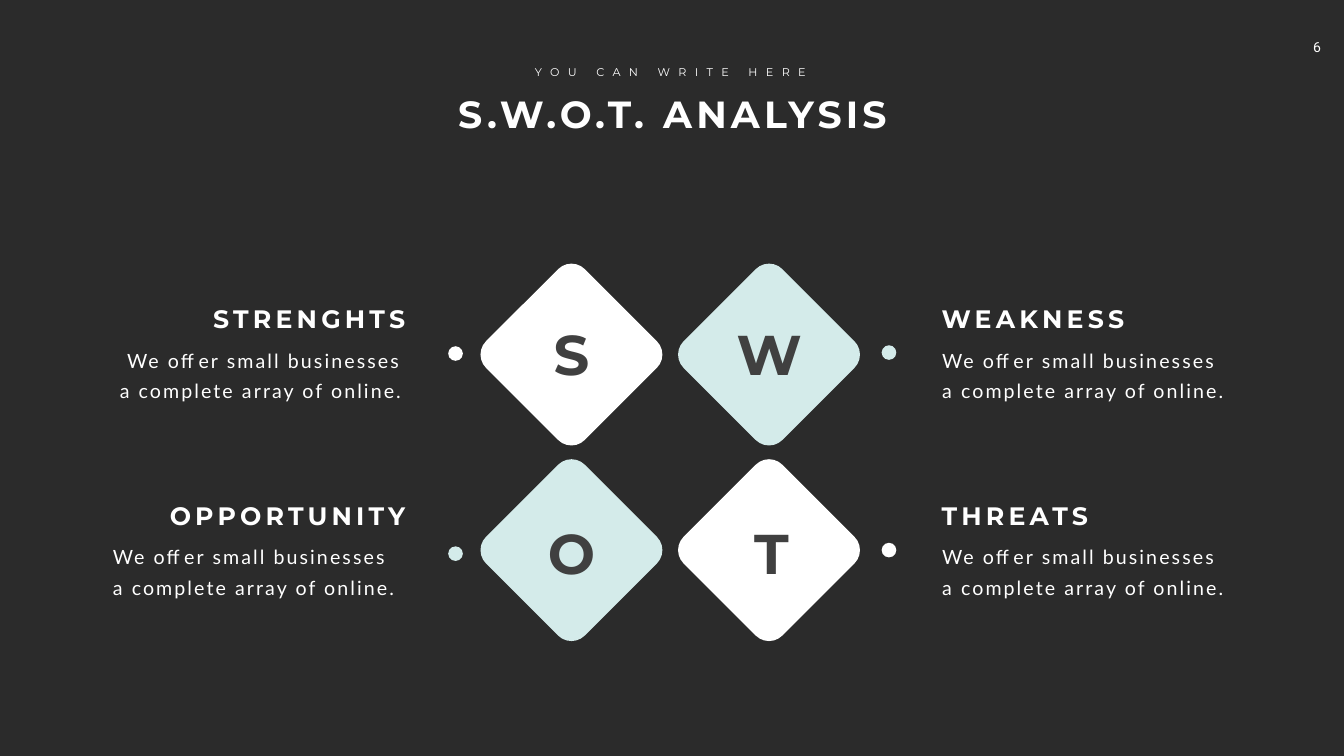
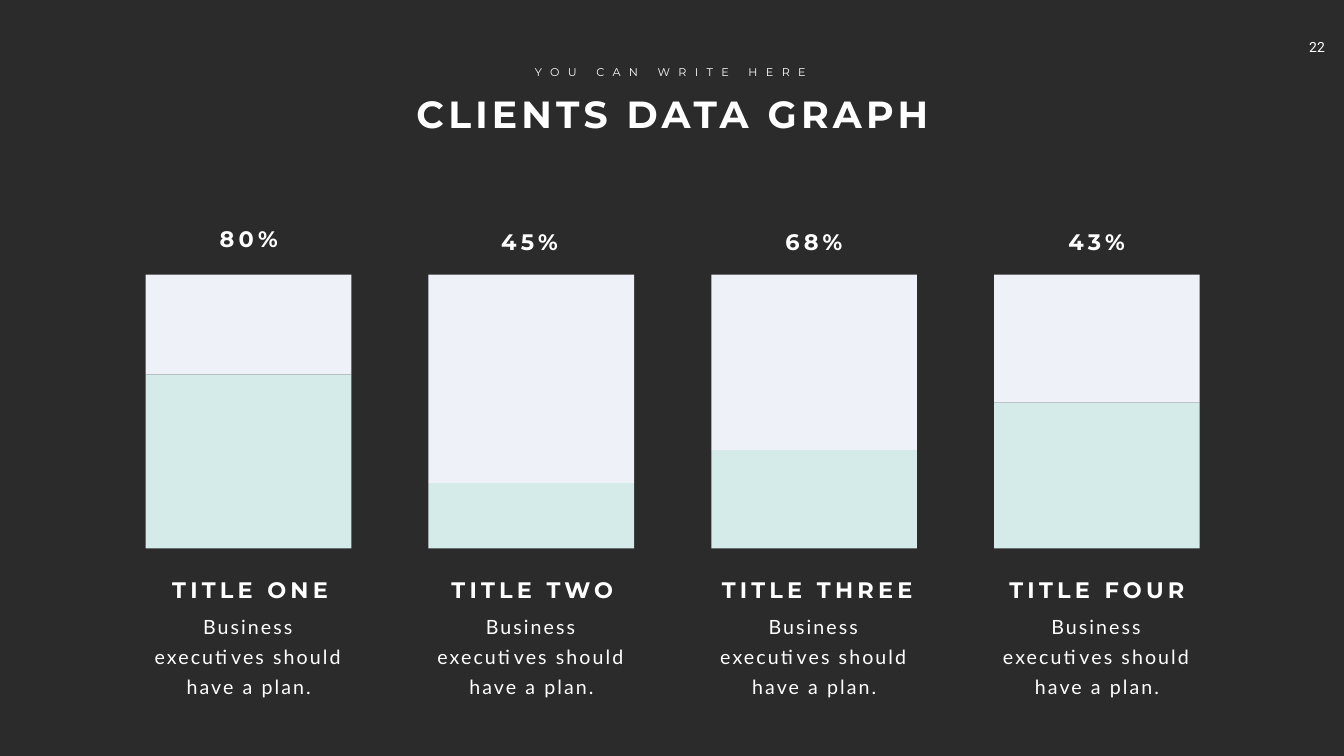
from pptx import Presentation
from pptx.dml.color import RGBColor
from pptx.enum.shapes import MSO_SHAPE
from pptx.enum.text import MSO_ANCHOR, MSO_AUTO_SIZE, PP_ALIGN
from pptx.util import Inches, Pt

LEFT, CENTER, RIGHT = PP_ALIGN.LEFT, PP_ALIGN.CENTER, PP_ALIGN.RIGHT
RECT, ROUNDED, OVAL = MSO_SHAPE.RECTANGLE, MSO_SHAPE.ROUNDED_RECTANGLE, MSO_SHAPE.OVAL
TOP, GROW = MSO_ANCHOR.TOP, MSO_AUTO_SIZE.SHAPE_TO_FIT_TEXT

DARK = RGBColor(0x2B, 0x2B, 0x2B)
GREY = RGBColor(0x40, 0x40, 0x40)
WHITE = RGBColor(0xFF, 0xFF, 0xFF)
MINT = RGBColor(0xD4, 0xEB, 0xEA)
PALE = RGBColor(0xEF, 0xF1, 0xF8)

prs = Presentation()
prs.slide_width, prs.slide_height = Inches(26.66), Inches(15)
prs.slide_master.background.fill.solid()
prs.slide_master.background.fill.fore_color.rgb = DARK

# Grid: 100 columns by 100 rows
COL, ROW = prs.slide_width / 100, prs.slide_height / 100

# Text styles: font, size, bold, letter spacing, colour, line spacing
TITLE = ("Montserrat", 54, True, 6, WHITE, None)
KICKER = ("Montserrat", 16, False, 12, WHITE, None)
NUMBER = ("Roboto", 20, False, 0, WHITE, None)
LETTER = ("Montserrat", 80, True, 6, GREY, None)
HEADING = ("Montserrat", 36, True, 6, WHITE, None)
LABEL = ("Montserrat", 32, True, 6, WHITE, None)
BODY = ("Lato", 28, False, 3, WHITE, 43)


def add_text(s, text, x, y, w, h, style, align=CENTER, inset=0.1, wrap=True):
    """Write one styled paragraph; titles go in the title placeholder."""
    font, size, bold, spacing, color, leading = style
    box = (round(x * COL), round(y * ROW), round(w * COL), round(h * ROW))
    if style is TITLE:
        sp = s.shapes.title
        sp.left, sp.top, sp.width, sp.height = box
    else:
        sp = s.shapes.add_textbox(*box)
    tf = sp.text_frame
    tf.text = text
    tf.word_wrap, tf.auto_size, tf.vertical_anchor = wrap, GROW, TOP
    tf.margin_left = tf.margin_right = Inches(inset)
    tf.margin_top = tf.margin_bottom = Inches(inset / 2)
    p = tf.paragraphs[0]
    p.alignment = align
    if leading:
        p.line_spacing = Pt(leading)
    r = p.runs[0]
    r.font.name, r.font.size, r.font.bold = font, Pt(size), bold
    r.font.color.rgb = color
    r._r.get_or_add_rPr().set("spc", str(spacing * 100))


def add_block(s, kind, x, y, w, h, color):
    """Add a plain filled shape without outline or shadow."""
    sp = s.shapes.add_shape(kind, round(x * COL), round(y * ROW), round(w * COL), round(h * ROW))
    sp.fill.solid()
    sp.fill.fore_color.rgb = color
    sp.line.fill.background()
    sp.shadow.inherit = False
    return sp


# Shared header: title, kicker and page number
slides = []
for title, width, number in [("S.W.O.T. ANALYSIS", 34.02, "6"), ("CLIENTS DATA GRAPH", 39.83, "22")]:
    s = prs.slides.add_slide(prs.slide_layouts[5])
    add_text(s, title, 50.05 - width / 2, 11.6, width, 6.73, TITLE, wrap=False)
    add_text(s, "YOU CAN WRITE HERE", 39.05, 8.27, 21.68, 2.47, KICKER, wrap=False)
    add_text(s, number, 96.1, 4.47, 3.79, 3.6, NUMBER, inset=0.2)
    slides.append(s)
swot, graph = slides

# SWOT: a two by two grid of diamonds, each with a dot and a text
CENTERS_X, CENTERS_Y = (42.52, 57.22), (46.9, 72.77)
SIDE_W, SIDE_H = 10.39, 18.47
HEADING_Y, LETTER_Y, BODY_Y = (39.8, 65.8), (41.93, 68.27), (44.53, 70.47)
QUADRANTS = [  # column, row, heading, colour, dot top, letter left, body alignment
    (0, 0, "STRENGHTS", WHITE, 45.8, 39.42, RIGHT),
    (1, 0, "WEAKNESS", MINT, 45.67, 54.13, LEFT),
    (0, 1, "OPPORTUNITY", MINT, 72.27, 39.42, LEFT),
    (1, 1, "THREATS", WHITE, 71.8, 54.31, LEFT),
]
for col, row, heading, color, dot_y, letter_x, body_align in QUADRANTS:
    diamond = add_block(swot, ROUNDED, CENTERS_X[col] - SIDE_W / 2, CENTERS_Y[row] - SIDE_H / 2,
                        SIDE_W, SIDE_H, color)
    diamond.adjustments[0] = 0.135
    diamond.rotation = 45
    add_text(swot, heading[0], letter_x, LETTER_Y[row], 6.19, 9.67, LETTER)
    add_block(swot, OVAL, (33.35, 65.6)[col], dot_y, 1.09, 1.93, color)
    add_text(swot, "We offer small businesses a complete array of online.",
             (7.5, 69.2)[col], BODY_Y[row], 23.26, 9.2, BODY, body_align, inset=0.24)
    add_text(swot, heading, (10.99, 69.69)[col], HEADING_Y[row], 19.54, 4.73, HEADING,
             (RIGHT, LEFT)[col])

# Clients graph: four two-part columns at an equal pitch
FIRST_X, PITCH, BAR_W = 10.84, 21.04, 15.3
BAR_TOP, BAR_BOTTOM = 36.33, 72.53
COLUMNS = [  # share, share left, share top, split, title, title left, title width
    ("80%", 15.49, 29.47, 49.53, "TITLE ONE", 11.67, 13.88),
    ("45%", 36.38, 29.8, 63.87, "TITLE TWO", 32.67, 13.88),
    ("68%", 57.54, 29.8, 59.53, "TITLE THREE", 52.59, 16.43),
    ("43%", 78.58, 29.8, 53.27, "TITLE FOUR", 73.41, 16.43),
]
for i, (share, share_x, share_y, split, title, title_x, title_w) in enumerate(COLUMNS):
    x = FIRST_X + i * PITCH
    add_block(graph, RECT, x, split, BAR_W, BAR_BOTTOM - split, MINT)
    add_block(graph, RECT, x, BAR_TOP, BAR_W, split - BAR_TOP, PALE)
    add_text(graph, share, share_x, share_y, 6.04, 4.27, LABEL)
    add_text(graph, title, title_x, 75.87, title_w, 4.27, LABEL)
    add_text(graph, "Business executives should have a plan.",
             x - 0.45, 80.13, 16.24, 8.27, BODY)

prs.save("out.pptx")
